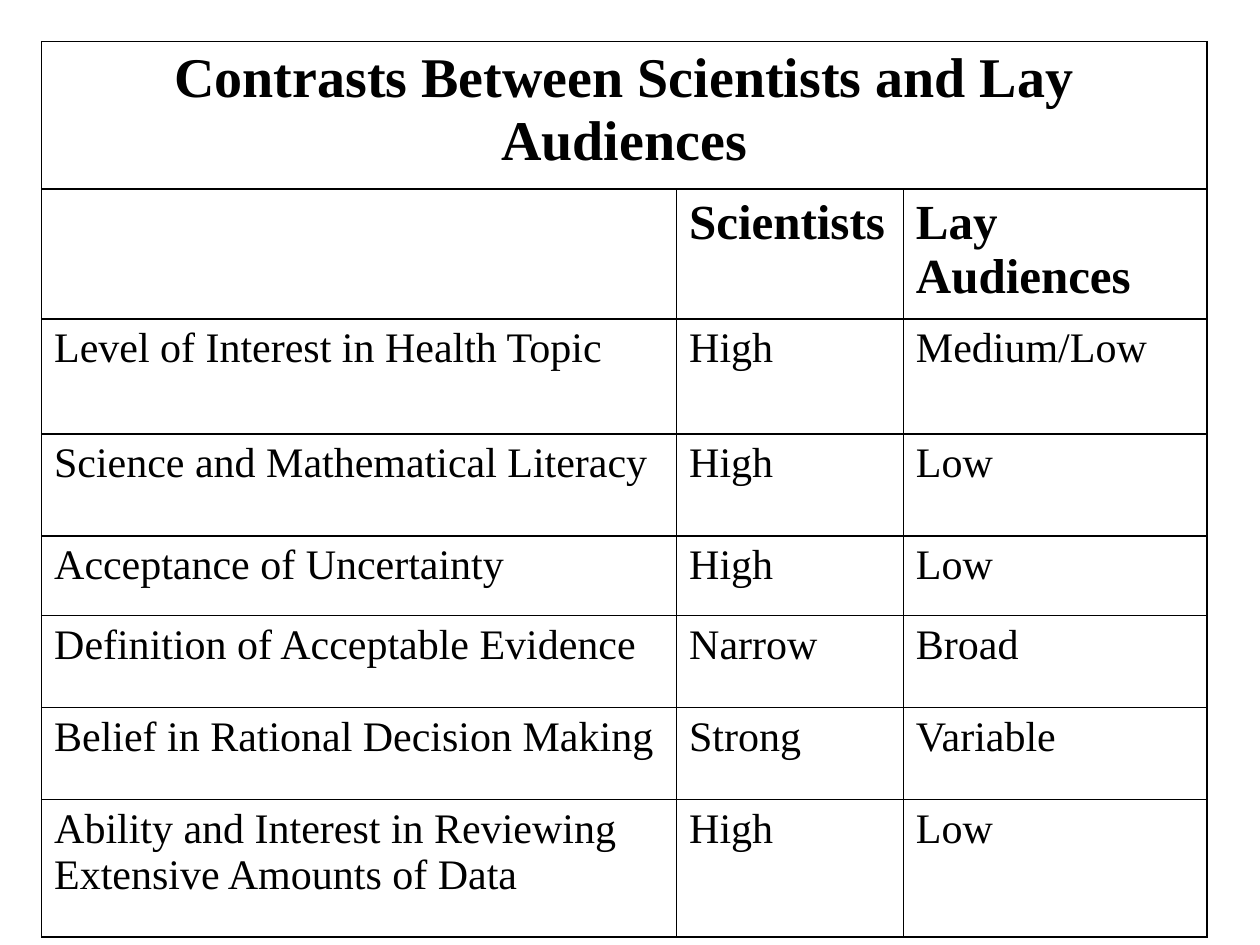
from lxml.etree import fromstring
from pptx import Presentation
from pptx.dml.color import RGBColor
from pptx.enum.text import PP_ALIGN
from pptx.oxml.ns import nsdecls
from pptx.util import Inches, Pt

COLORS = {"background": "FFFFFF", "ink": "000000"}
FONT = "Times New Roman"
TITLE = "Contrasts Between Scientists and Lay Audiences"
CONTRASTS = [
    ("", "Scientists", "Lay Audiences"),
    ("Level of Interest in Health Topic", "High", "Medium/Low"),
    ("Science and Mathematical Literacy", "High", "Low"),
    ("Acceptance of Uncertainty", "High", "Low"),
    ("Definition of Acceptable Evidence", "Narrow", "Broad"),
    ("Belief in Rational Decision Making", "Strong", "Variable"),
    ("Ability and Interest in Reviewing Extensive Amounts of Data", "High", "Low"),
]
COLUMN_SHARES = [5.04, 1.8, 2.41]
ROW_SHARES = [1.17, 1.03, 0.91, 0.81, 0.63, 0.73, 0.73, 1.09]


def divide(length, shares):
    """Split a length in proportion to the given shares."""
    return [int(length * share / sum(shares)) for share in shares]


def rule_cell(cell):
    """Draw a one-point line on each side of a cell."""
    properties = cell._tc.get_or_add_tcPr()
    for position, side in enumerate("LRTB"):
        properties.insert(position, fromstring(
            f'<a:ln{side} {nsdecls("a")} w="{Pt(1)}"><a:solidFill>'
            f'<a:srgbClr val="{COLORS["ink"]}"/></a:solidFill></a:ln{side}>'))


def write_cell(cell, wording, size, bold):
    """Fill, rule and format one cell with its wording."""
    cell.fill.solid()
    cell.fill.fore_color.rgb = RGBColor.from_string(COLORS["background"])
    rule_cell(cell)
    cell.text = wording
    font = cell.text_frame.paragraphs[0].font
    font.name, font.size, font.bold = FONT, Pt(size), bold
    font.color.rgb = RGBColor.from_string(COLORS["ink"])


def add_contrast_table(slide, left, top, width, height):
    """Place the titled comparison table in the given box."""
    table = slide.shapes.add_table(
        len(ROW_SHARES), len(COLUMN_SHARES), left, top, width, height).table
    table.first_row = table.horz_banding = False
    for column, column_width in zip(table.columns, divide(width, COLUMN_SHARES)):
        column.width = column_width
    for row, row_height in zip(table.rows, divide(height, ROW_SHARES)):
        row.height = row_height
    table.cell(0, 0).merge(table.cell(0, len(COLUMN_SHARES) - 1))
    for row_index, wordings in enumerate([(TITLE, "", "")] + CONTRASTS):
        size = {0: 32, 1: 28}.get(row_index, 24)
        for column_index, wording in enumerate(wordings):
            write_cell(table.cell(row_index, column_index), wording, size, row_index < 2)
    table.cell(0, 0).text_frame.paragraphs[0].alignment = PP_ALIGN.CENTER


def main():
    """Build and save the slide."""
    presentation = Presentation()
    presentation.slide_width, presentation.slide_height = Inches(10), Inches(7.5)
    slide = presentation.slides.add_slide(presentation.slide_layouts[6])
    slide.background.fill.solid()
    slide.background.fill.fore_color.rgb = RGBColor.from_string(COLORS["background"])
    add_contrast_table(slide, Inches(0.33), Inches(0.33), Inches(9.25), Inches(7.11))
    presentation.save("out.pptx")


if __name__ == "__main__":
    main()
